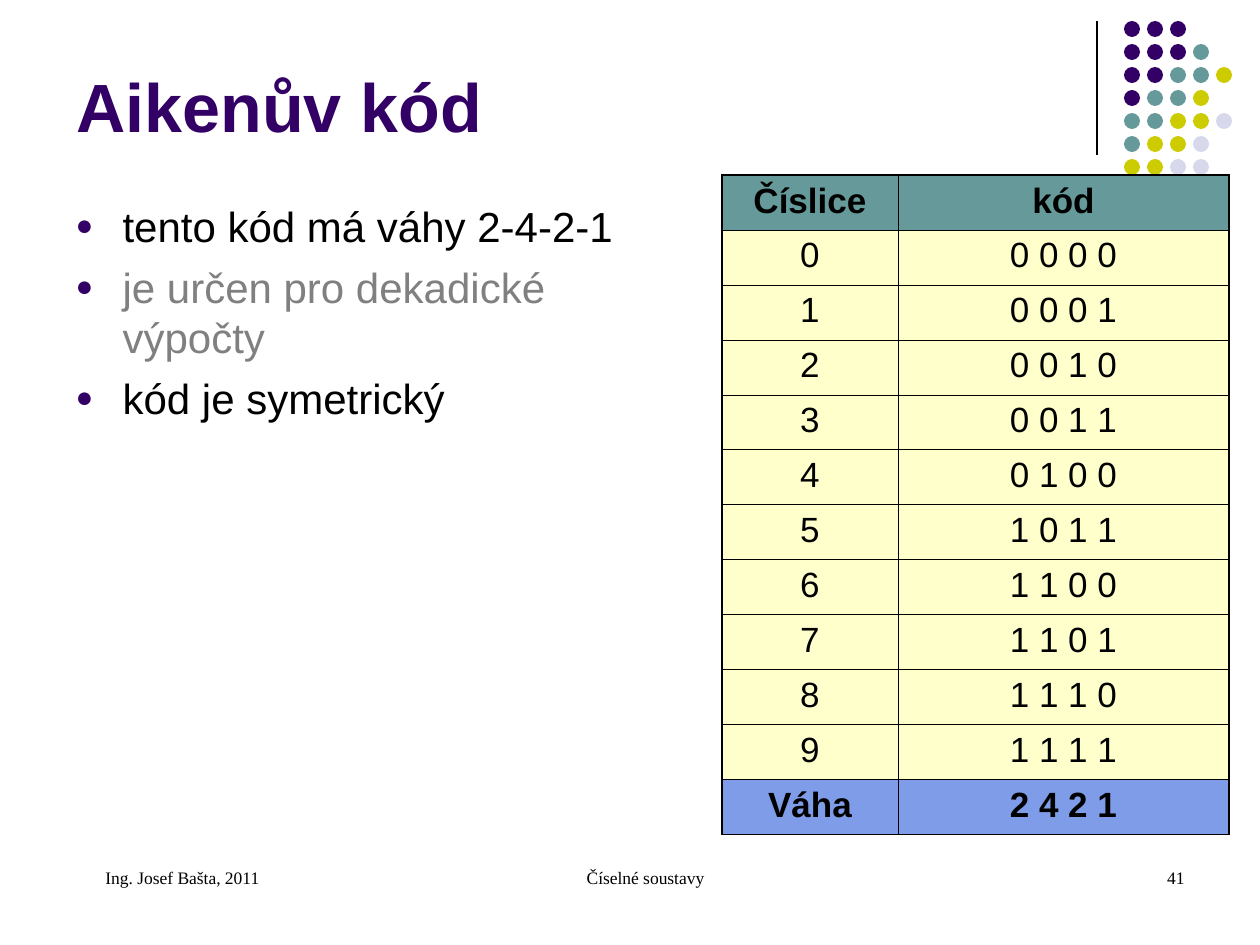
from dataclasses import dataclass

from lxml import etree
from pptx import Presentation
from pptx import util as u
from pptx.dml.color import RGBColor
from pptx.enum import shapes, text
from pptx.oxml import parse_xml
from pptx.oxml.ns import nsdecls, qn


@dataclass(frozen=True)
class Theme:
    sans: str = "Arial"
    serif: str = "Times New Roman"
    purple: str = "330066"
    teal: str = "669999"
    olive: str = "CCCC00"
    lavender: str = "D8D8EC"
    cream: str = "FFFFCC"
    blue: str = "7E9CE8"
    black: str = "000000"
    grey: str = "808080"
    title: int = 39
    body: int = 24
    cell: int = 20
    footer: int = 10
    thick: float = 1.08
    thin: float = 0.45


theme = Theme()


def px(count):
    return u.Emu(round(count * 914400 / 126))


def write(paragraph, words, size, face, colour, bold=False):
    run = paragraph.add_run()
    run.text = words
    run.font.size = u.Pt(size)
    run.font.name = face
    run.font.bold = bold
    run.font.color.rgb = RGBColor.from_string(colour)


deck = Presentation()
deck.slide_width, deck.slide_height = px(1260), px(945)
slide = deck.slides.add_slide(deck.slide_layouts[1])

divider = slide.shapes.add_connector(
    shapes.MSO_CONNECTOR.STRAIGHT, px(1097), px(21), px(1097), px(155))
divider.line.color.rgb = RGBColor.from_string(theme.black)
divider.line.width = u.Pt(0.75)
etree.SubElement(divider._element.spPr, qn("a:effectLst"))

dot_colours = {"P": theme.purple, "T": theme.teal, "Y": theme.olive, "L": theme.lavender}
dot_rows = ["PPP", "PPPT", "PPTTY", "PTTY", "TTYYL", "TYYL", "YYLL"]
for row, letters in enumerate(dot_rows):
    for column, letter in enumerate(letters):
        dot = slide.shapes.add_shape(
            shapes.MSO_SHAPE.OVAL, px(1124 + 23 * column), px(21 + 23 * row), px(16), px(16))
        dot.shadow.inherit = False
        dot.fill.solid()
        dot.fill.fore_color.rgb = RGBColor.from_string(dot_colours[letter])
        dot.line.fill.background()

heading = slide.shapes.title
heading.left, heading.top, heading.width, heading.height = px(64), px(45), px(1040), px(108)
heading.text_frame.auto_size = text.MSO_AUTO_SIZE.NONE
heading.text_frame.vertical_anchor = text.MSO_ANCHOR.BOTTOM
heading.text_frame.paragraphs[0].alignment = text.PP_ALIGN.LEFT
write(heading.text_frame.paragraphs[0], "Aikenův kód", theme.title, theme.sans, theme.purple, True)

properties = slide.placeholders[1]
properties.left, properties.top = px(63), px(194)
properties.width, properties.height = px(643), px(650)
properties.text_frame.auto_size = text.MSO_AUTO_SIZE.NONE
facts = [
    ("tento kód má váhy 2-4-2-1", theme.black),
    ("je určen pro dekadické výpočty", theme.grey),
    ("kód je symetrický", theme.black),
]
for number, (fact, colour) in enumerate(facts):
    frame = properties.text_frame
    paragraph = frame.add_paragraph() if number else frame.paragraphs[0]
    layout = paragraph._p.get_or_add_pPr()
    layout.set("marL", str(px(47)))
    layout.set("indent", str(-px(47)))
    for bullet in (
        f'<a:buClr {nsdecls("a")}><a:srgbClr val="{theme.purple}"/></a:buClr>',
        f'<a:buSzPct {nsdecls("a")} val="70000"/>',
        f'<a:buFont {nsdecls("a")} typeface="{theme.sans}"/>',
        f'<a:buChar {nsdecls("a")} char="●"/>',
    ):
        layout.append(parse_xml(bullet))
    paragraph.space_before = u.Pt(6 if number else 0)
    write(paragraph, fact, theme.body, theme.sans, colour)

codes = ["0 0 0 0", "0 0 0 1", "0 0 1 0", "0 0 1 1", "0 1 0 0",
         "1 0 1 1", "1 1 0 0", "1 1 0 1", "1 1 1 0", "1 1 1 1"]
entries = [("Číslice", "kód"), *((str(d), code) for d, code in enumerate(codes)),
           ("Váha", "2 4 2 1")]
last = len(entries) - 1
aiken = slide.shapes.add_table(
    len(entries), 2, px(722), px(175), px(507), px(55 * len(entries))).table
aiken.first_row = aiken.horz_banding = False
aiken.columns[0].width, aiken.columns[1].width = px(176), px(331)
for row, entry in enumerate(entries):
    aiken.rows[row].height = px(55)
    for column, words in enumerate(entry):
        cell = aiken.cell(row, column)
        outer = {"lnL": column == 0, "lnR": column == 1, "lnT": row == 0, "lnB": row == last}
        for side, at_edge in outer.items():
            width = u.Pt(theme.thick if at_edge else theme.thin)
            cell._tc.get_or_add_tcPr().append(parse_xml(
                f'<a:{side} {nsdecls("a")} w="{width}"><a:solidFill>'
                f'<a:srgbClr val="{theme.black}"/></a:solidFill></a:{side}>'))
        cell.fill.solid()
        cell.fill.fore_color.rgb = RGBColor.from_string(
            {0: theme.teal, last: theme.blue}.get(row, theme.cream))
        paragraph = cell.text_frame.paragraphs[0]
        paragraph.alignment = text.PP_ALIGN.CENTER
        write(paragraph, words, theme.cell, theme.sans, theme.black, row in (0, last))

footers = [
    (431, 399, "Číselné soustavy", text.PP_ALIGN.CENTER),
    (903, 294, "41", text.PP_ALIGN.RIGHT),
    (63, 294, "Ing. Josef Bašta, 2011", text.PP_ALIGN.LEFT),
]
for left, width, words, alignment in footers:
    footer = slide.shapes.add_textbox(px(left), px(861), px(width), px(63))
    footer.text_frame.word_wrap = True
    paragraph = footer.text_frame.paragraphs[0]
    paragraph.alignment = alignment
    paragraph._p.get_or_add_pPr().set("marL", str(px(30)))
    write(paragraph, words, theme.footer, theme.serif, theme.black)

deck.save("out.pptx")
